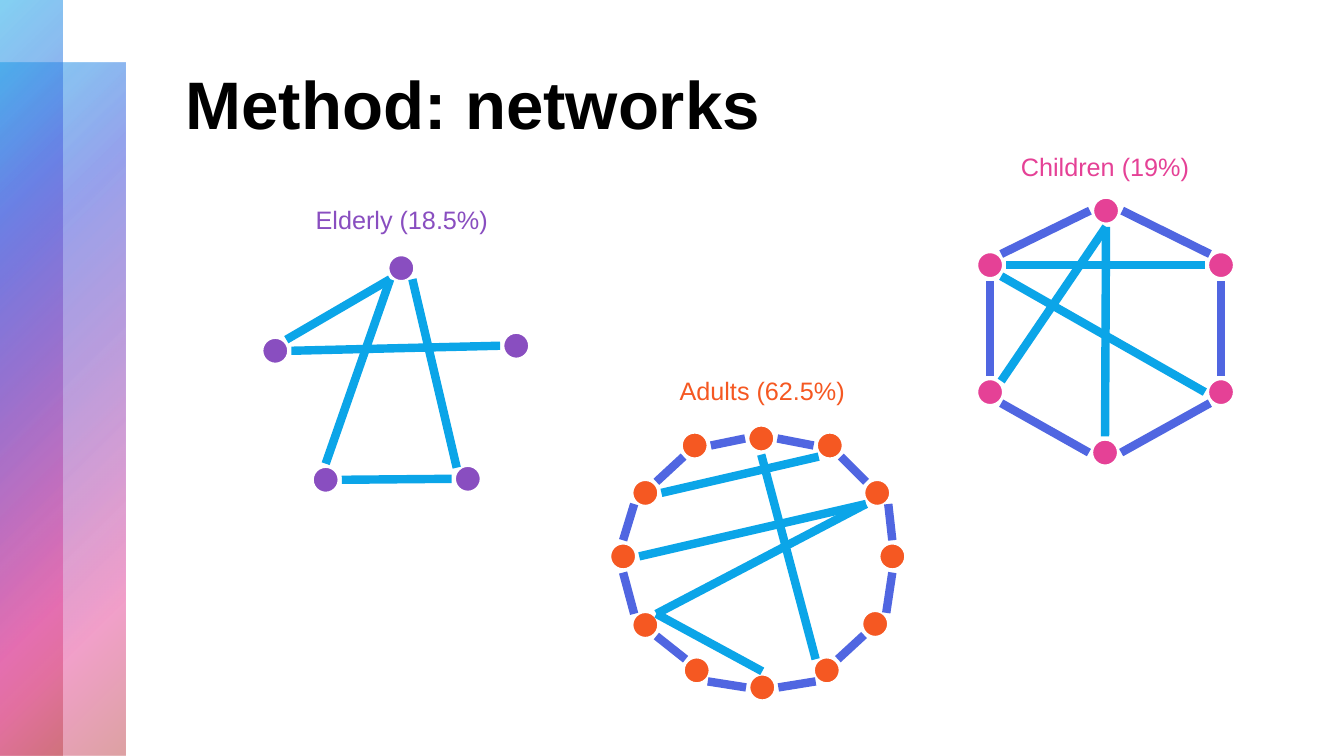
from lxml import etree
from pptx import Presentation
from pptx.dml.color import RGBColor
from pptx.enum.shapes import MSO_CONNECTOR as Line, MSO_SHAPE as Shape
from pptx.enum.text import PP_ALIGN as Align
from pptx.oxml import parse_xml
from pptx.oxml.ns import nsdecls, qn
from pptx.util import Inches, Pt

FONT = "Arial"
BLUE, CYAN = "5066E1", "0BA5E8"
PURPLE, ORANGE, PINK = "894EC0", "F55822", "E54196"
STRIP_STOPS = [(0, CYAN, 50), (25, BLUE, 60), (50, PURPLE, 55),
               (81, PINK, 50), (99, "BE4449", 50), (100, "BE4449", 50)]
RADIUS, DIAGONAL = 0.16, 0.11
RIM = {"N": (0, -RADIUS), "S": (0, RADIUS), "W": (-RADIUS, 0), "E": (RADIUS, 0),
       "NW": (-DIAGONAL, -DIAGONAL), "NE": (DIAGONAL, -DIAGONAL),
       "SW": (-DIAGONAL, DIAGONAL), "SE": (DIAGONAL, DIAGONAL)}

# Node centres are relative to the network's box; an edge is (node, rim side, node, rim side).
ELDERLY = dict(
    label="Elderly (18.5%)", colour=PURPLE, label_box=(0.45, -0.52, 1.93),
    nodes={"left": (0.16, 0.98), "top": (1.41, 0.16), "right": (2.55, 0.93),
           "low left": (0.66, 2.26), "low right": (2.07, 2.25)},
    ring=[],
    chords=[("left", "NE", "top", "SW"), ("low left", "N", "top", "SW"),
            ("top", "SE", "low right", "NW"), ("right", "W", "left", "E"),
            ("low right", "W", "low left", "E")])

# Adult nodes are numbered like the hours of a clock.
ADULTS = dict(
    label="Adults (62.5%)", colour=ORANGE, label_box=(0.58, -0.52, 1.92),
    nodes={12: (1.53, 0.16), 1: (2.21, 0.23), 2: (2.68, 0.7), 3: (2.83, 1.33),
           4: (2.66, 2), 5: (2.18, 2.46), 6: (1.54, 2.63), 7: (0.89, 2.46),
           8: (0.38, 2.01), 9: (0.16, 1.33), 10: (0.38, 0.7), 11: (0.87, 0.23)},
    ring=[(11, "E", 12, "W"), (12, "E", 1, "W"), (1, "SE", 2, "NW"),
          (2, "SE", 3, "N"), (3, "S", 4, "NE"), (4, "SW", 5, "NE"),
          (5, "SW", 6, "E"), (6, "W", 7, "SE"), (7, "NW", 8, "SE"),
          (8, "NW", 9, "S"), (9, "N", 10, "SW"), (10, "NE", 11, "SW")],
    chords=[(5, "NW", 12, "S"), (8, "NE", 2, "SW"), (1, "SW", 10, "E"),
            (6, "N", 8, "NE"), (2, "SW", 9, "E")])

CHILDREN = dict(
    label="Children (19%)", colour=PINK, label_box=(0.35, -0.48, 1.9),
    nodes={"top": (1.31, 0.16), "high right": (2.45, 0.7), "low right": (2.45, 1.96),
           "bottom": (1.3, 2.56), "low left": (0.16, 1.96), "high left": (0.16, 0.7)},
    ring=[("high left", "NE", "top", "W"), ("high left", "S", "low left", "N"),
          ("low left", "SE", "bottom", "W"), ("bottom", "E", "low right", "SW"),
          ("top", "E", "high right", "NW"), ("high right", "S", "low right", "N")],
    chords=[("low left", "NE", "top", "S"), ("high left", "E", "high right", "W"),
            ("low right", "W", "high left", "SE"), ("top", "S", "bottom", "N")])


def rgb(colour):
    return RGBColor.from_string(colour)


def add_text(page, box, text, size, colour, bold=False):
    frame = page.shapes.add_textbox(*map(Inches, box)).text_frame
    para = frame.paragraphs[0]
    para.text = text
    font = para.font
    font.name, font.size, font.bold = FONT, Pt(size), bold
    font.color.rgb = rgb(colour)
    return frame


def add_strip(page, box):
    """Add a translucent bar whose gradient spreads from its top left corner."""
    strip = page.shapes.add_shape(Shape.RECTANGLE, *map(Inches, box))
    strip.shadow.inherit = False
    strip.line.fill.background()
    stops = "".join(
        f'<a:gs pos="{place * 1000}"><a:srgbClr val="{colour}">'
        f'<a:alpha val="{alpha * 1000}"/></a:srgbClr></a:gs>'
        for place, colour, alpha in STRIP_STOPS)
    gradient = parse_xml(
        f'<a:gradFill {nsdecls("a")} rotWithShape="1"><a:gsLst>{stops}</a:gsLst>'
        '<a:path path="circle"><a:fillToRect r="100000" b="100000"/></a:path>'
        '<a:tileRect l="-100000" t="-100000"/></a:gradFill>')
    strip.element.spPr.find(qn("a:prstGeom")).addnext(gradient)


def add_node(page, centre, colour):
    x, y = centre
    node = page.shapes.add_shape(
        Shape.OVAL, *map(Inches, (x - RADIUS, y - RADIUS, 2 * RADIUS, 2 * RADIUS)))
    node.shadow.inherit = False
    node.fill.solid()
    node.fill.fore_color.rgb = rgb(colour)
    node.line.color.rgb = rgb("FFFFFF")
    node.line.width = Pt(6)


def add_edge(page, start, end, colour):
    edge = page.shapes.add_connector(Line.STRAIGHT, *map(Inches, start + end))
    edge.line.color.rgb = rgb(colour)
    edge.line.width = Pt(6)
    etree.SubElement(edge.element.spPr, qn("a:effectLst"))


def add_network(page, left, top, label, colour, label_box, nodes, ring, chords):
    centres = {name: (left + x, top + y) for name, (x, y) in nodes.items()}

    def rim_point(name, side):
        return tuple(a + b for a, b in zip(centres[name], RIM[side]))

    for centre in centres.values():
        add_node(page, centre, colour)
    for edges, edge_colour in ((ring, BLUE), (chords, CYAN)):
        for start, start_side, end, end_side in edges:
            add_edge(page, rim_point(start, start_side), rim_point(end, end_side),
                     edge_colour)
    x, y, width = label_box
    frame = add_text(page, (left + x, top + y, width, 0.4), label, 18, colour)
    frame.word_wrap = False
    frame.paragraphs[0].alignment = Align.CENTER


def add_title(page, box, text):
    frame = add_text(page, box, text, 48, "000000", bold=True)
    frame.word_wrap = True
    frame.margin_top = Inches(0.12)


def main():
    deck = Presentation()
    deck.slide_width, deck.slide_height = Inches(13.33), Inches(7.5)
    page = deck.slides.add_slide(deck.slide_layouts[6])
    add_strip(page, (0, 0.62, 1.24, 6.88))
    add_strip(page, (0, 0, 0.62, 7.5))
    add_title(page, (1.74, 0.5, 10.37, 1.7), "Method: networks")
    add_network(page, 2.57, 2.5, **ELDERLY)
    add_network(page, 6.02, 4.19, **ADULTS)
    add_network(page, 9.66, 1.93, **CHILDREN)
    deck.save("out.pptx")


if __name__ == "__main__":
    main()
